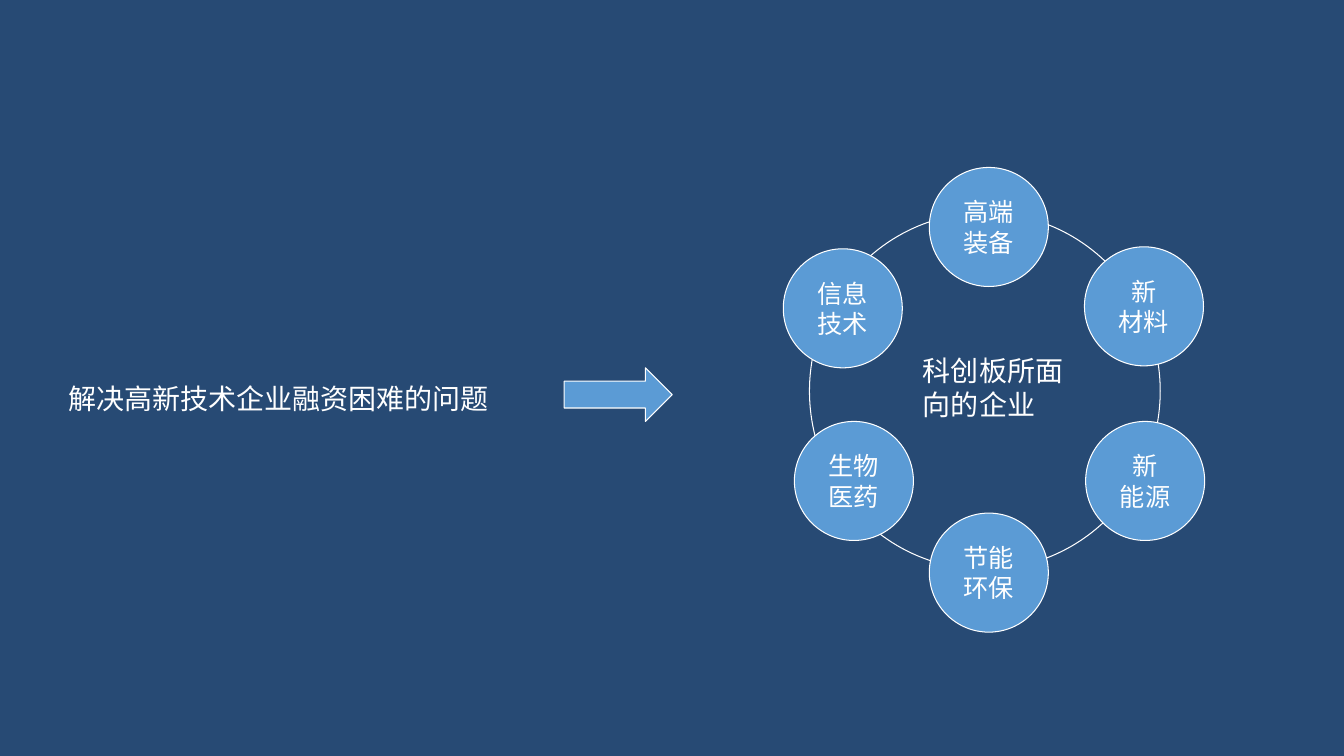
from dataclasses import dataclass

from pptx import Presentation
from pptx.dml.color import RGBColor as Rgb
from pptx.enum.shapes import MSO_SHAPE as Preset
from pptx.enum.text import MSO_ANCHOR as Anchor, MSO_AUTO_SIZE as AutoSize, PP_ALIGN as Align
from pptx.util import Cm, Pt


@dataclass(frozen=True)
class Theme:
    navy: Rgb = Rgb(0x27, 0x4A, 0x74)
    blue: Rgb = Rgb(0x5B, 0x9B, 0xD5)
    white: Rgb = Rgb(0xFF, 0xFF, 0xFF)
    sans: str = "Calibri"
    serif: str = "Times New Roman"
    statement: Pt = Pt(20)
    sector: Pt = Pt(18)
    outline: Pt = Pt(0.75)


class Painter:
    """Holds the theme and the current slide."""

    def __init__(self, slide, theme):
        self.slide, self.theme = slide, theme
        slide.background.fill.solid()
        slide.background.fill.fore_color.rgb = theme.navy

    def group(self):
        return self.slide.shapes.add_group_shape().shapes

    def shape(self, parent, preset, box, fill=None):
        shape = parent.add_shape(preset, *map(Cm, box))
        shape.shadow.inherit = False
        if fill is None:
            shape.fill.background()
        else:
            shape.fill.solid()
            shape.fill.fore_color.rgb = fill
        shape.line.color.rgb = self.theme.white
        shape.line.width = self.theme.outline
        return shape

    def add_text(self, paragraph, text, size, font):
        run = paragraph.add_run()
        run.text = text
        run.font.size, run.font.name = size, font
        run.font.color.rgb = self.theme.white

    def bubble(self, parent, left, top, lines):
        circle = self.shape(parent, Preset.OVAL, (left, top, 3, 3), self.theme.blue)
        frame = circle.text_frame
        frame.word_wrap = True
        frame.vertical_anchor = Anchor.MIDDLE
        for index, line in enumerate(lines):
            paragraph = frame.add_paragraph() if index else frame.paragraphs[0]
            paragraph.alignment = Align.CENTER
            self.add_text(paragraph, line, self.theme.sector, self.theme.sans)

    def label(self, parent, box, text, font):
        frame = parent.add_textbox(*map(Cm, box)).text_frame
        frame.word_wrap = True
        frame.auto_size = AutoSize.SHAPE_TO_FIT_TEXT
        paragraph = frame.paragraphs[0]
        self.add_text(paragraph, text, self.theme.statement, font)
        return paragraph


SECTORS = [
    (19.74, 6.27, ["信息", "技术"]),
    (23.42, 4.22, ["高端装备"]),
    (27.33, 6.22, ["新", "材料"]),
    (27.36, 10.62, ["新", "能源"]),
    (23.42, 12.93, ["节能环保"]),
    (20.02, 10.62, ["生物", "医药"]),
]


def main():
    deck = Presentation()
    deck.slide_width, deck.slide_height = Cm(33.87), Cm(19.05)
    theme = Theme()
    painter = Painter(deck.slides.add_slide(deck.slide_layouts[6]), theme)

    # Ring of sectors around the central caption
    wheel = painter.group()
    painter.shape(wheel, Preset.OVAL, (20.4, 5.36, 8.84, 8.99))
    painter.label(wheel, (23.01, 8.79, 4.22, 1.96), "科创板所面向的企业", theme.serif)
    for left, top, lines in SECTORS:
        painter.bubble(wheel, left, top, lines)

    # Arrow from the problem to the ring
    page = painter.slide.shapes
    painter.shape(page, Preset.RIGHT_ARROW, (14.22, 9.27, 2.72, 1.35), theme.blue)

    # Problem statement
    problem = painter.label(page, (1.47, 9.07, 14.53, 1.4),
                            "解决高新技术企业融资困难的问题", theme.sans)
    problem.line_spacing = 1.5
    problem.space_before = Pt(10)

    deck.save("out.pptx")


if __name__ == "__main__":
    main()
